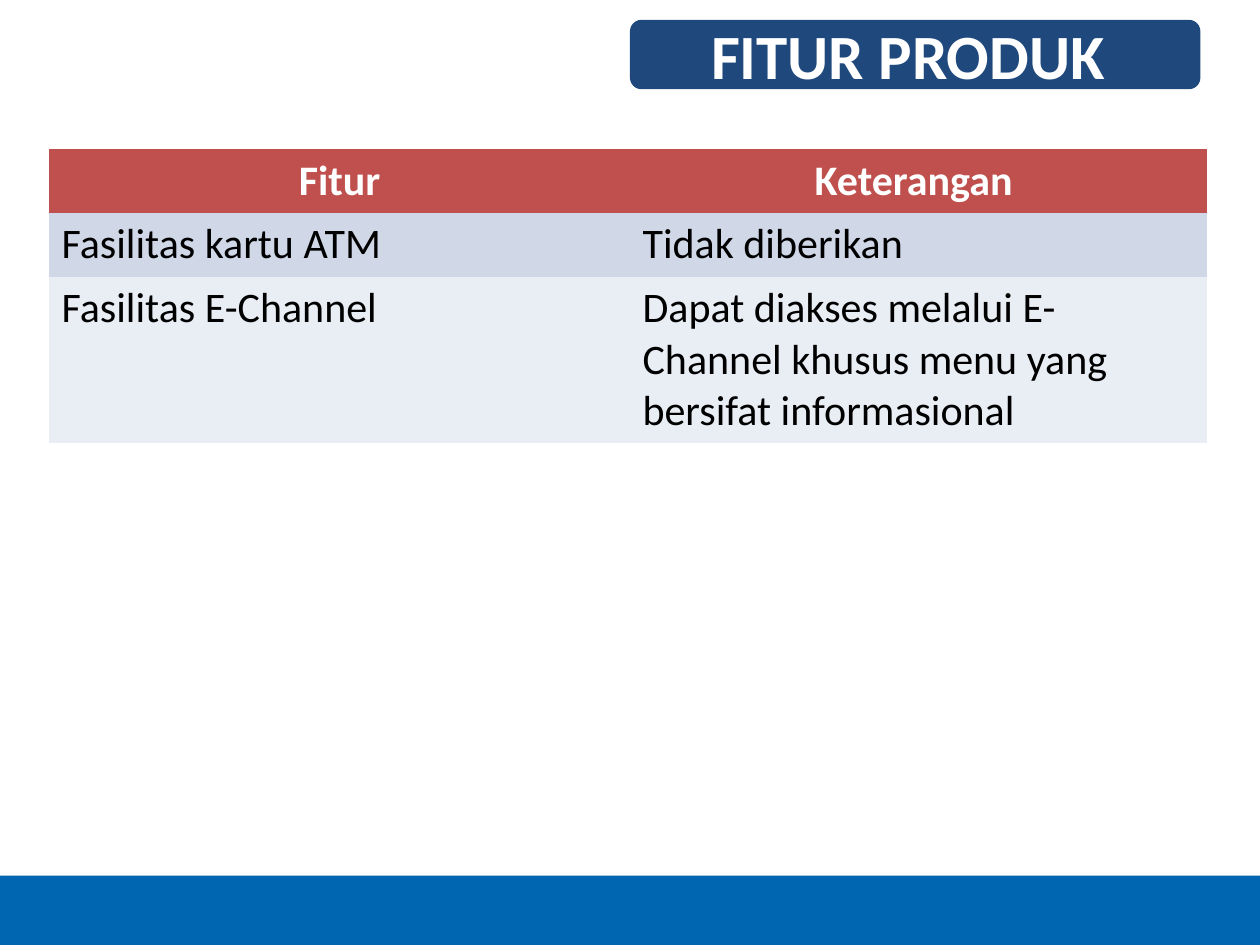
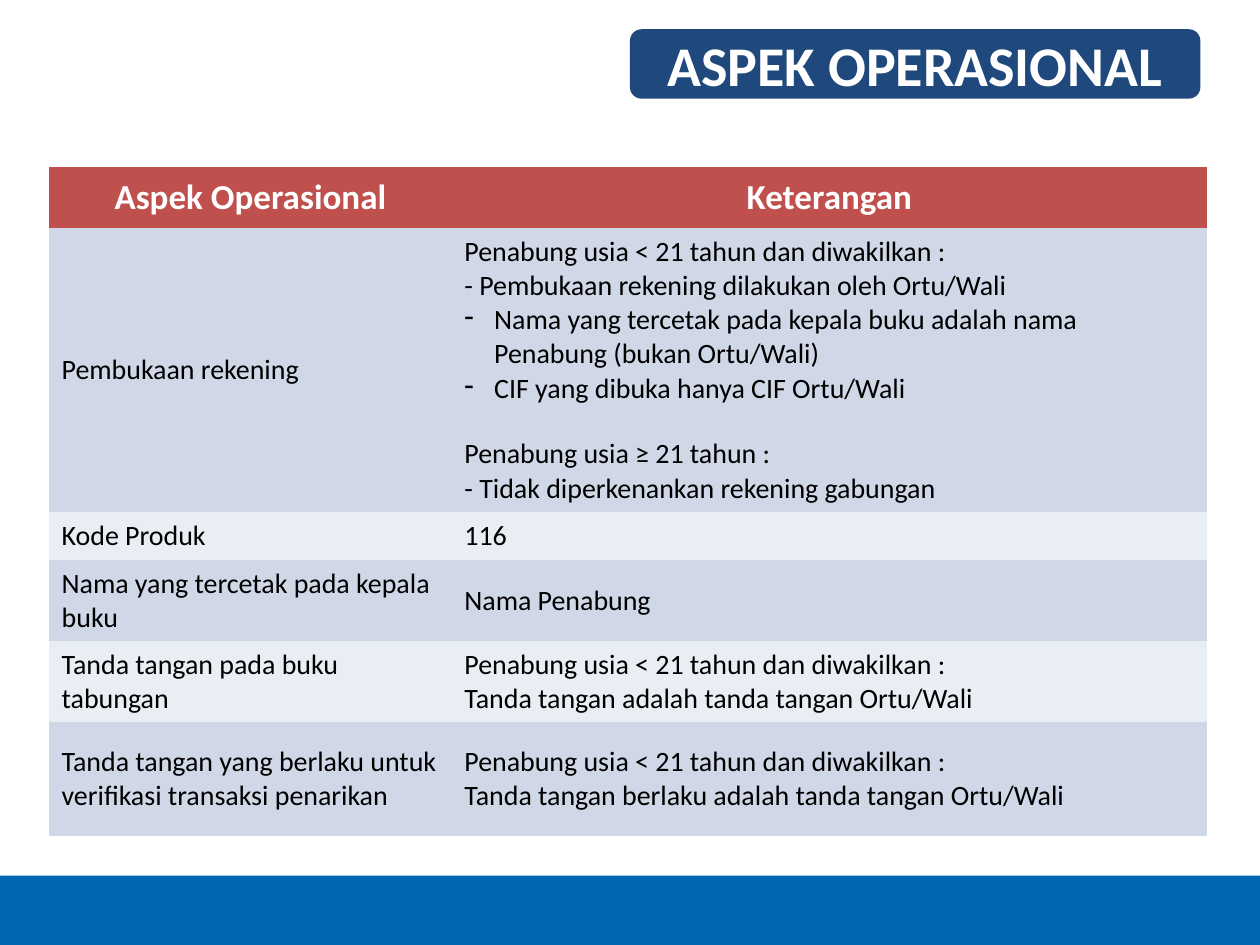
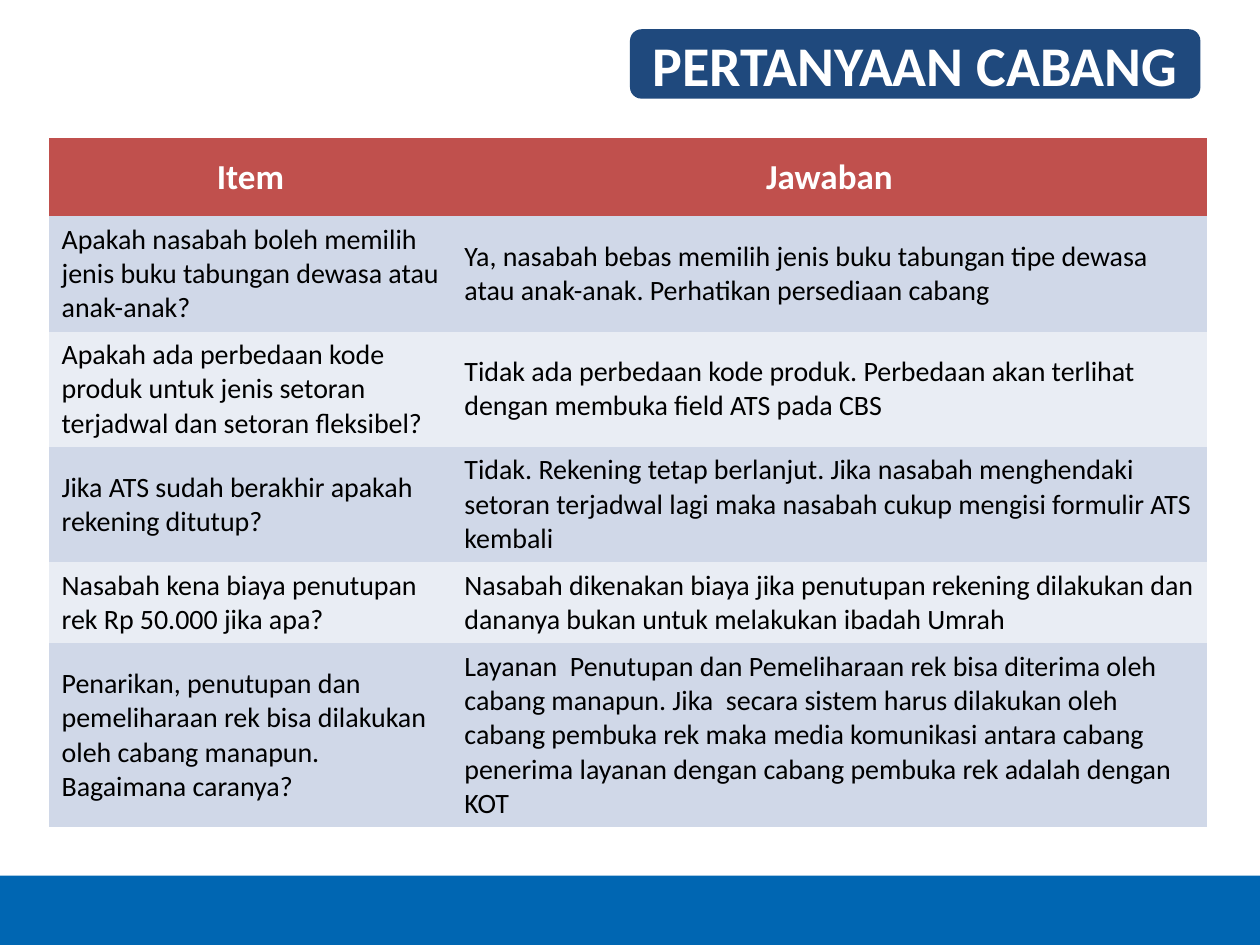
from lxml import etree
from pptx import Presentation
from pptx.dml.color import RGBColor
from pptx.enum import shapes, text
from pptx.oxml import ns
from pptx.util import Cm, Pt

COLORS = {
    "footer": "0066B2",
    "title": "1F497D",
    "header": "C0504D",
    "odd": "D0D8E8",
    "even": "E9EDF4",
    "white": "FFFFFF",
    "black": "000000",
}
FONT = "Calibri"
SLIDE_W, SLIDE_H = 25.4, 19.05
FOOTER_H = 1.4
TABLE_LEFT = 0.99
NO_GRID = "{2D5ABB26-0587-4C30-8999-92F81FD0307C}"
MINOR = "Penabung usia < 21 tahun dan diwakilkan :"


def rgb(name):
    return RGBColor.from_string(COLORS[name])


def put_text(p, words, size=16, color="black", bold=False,
             align=text.PP_ALIGN.LEFT, bullet=False, before=0):
    """Write one formatted paragraph."""
    if bullet:
        pPr = p._p.get_or_add_pPr()
        pPr.set("marL", str(Cm(0.6)))
        pPr.set("indent", str(-Cm(0.6)))
        etree.SubElement(pPr, ns.qn("a:buChar")).set("char", "-")
    if before:
        p.space_before = Pt(before)
    p.alignment = align
    r = p.add_run()
    r.text = words
    r.font.name = FONT
    r.font.size = Pt(size)
    r.font.bold = bold
    r.font.color.rgb = rgb(color)


def add_box(s, kind, box, color):
    """Add a plain filled shape; box is left, top, width, height in cm."""
    sp = s.shapes.add_shape(kind, *map(Cm, box))
    sp.shadow.inherit = False
    sp.fill.solid()
    sp.fill.fore_color.rgb = rgb(color)
    sp.line.fill.background()
    return sp


def add_footer(s):
    box = (0, SLIDE_H - FOOTER_H, SLIDE_W, FOOTER_H)
    add_box(s, shapes.MSO_SHAPE.RECTANGLE, box, "footer")


def add_title(s, words, top, size):
    box = (12.7, top, 11.5, 1.4)
    sp = add_box(s, shapes.MSO_SHAPE.ROUNDED_RECTANGLE, box, "title")
    tf = sp.text_frame
    tf.word_wrap = True
    tf.vertical_anchor = text.MSO_ANCHOR.MIDDLE
    put_text(tf.paragraphs[0], words, size=size, color="white", bold=True,
             align=text.PP_ALIGN.CENTER)


def fill_cell(cell, content, fill, anchor, **fmt):
    """Content is a string, or a list of strings and (string, format) pairs."""
    cell.fill.solid()
    cell.fill.fore_color.rgb = rgb(fill)
    cell.vertical_anchor = anchor
    tf = cell.text_frame
    for i, item in enumerate([content] if isinstance(content, str) else content):
        p = tf.add_paragraph() if i else tf.paragraphs[0]
        words, extra = (item, {}) if isinstance(item, str) else item
        put_text(p, words, **fmt, **extra)


def add_grid(s, top, cols, heights, rows, head_size, body_size, anchor):
    frame = s.shapes.add_table(len(rows), len(cols), Cm(TABLE_LEFT), Cm(top),
                               Cm(sum(cols)), Cm(sum(heights)))
    table = frame.table
    table._tbl.tblPr.find(ns.qn("a:tableStyleId")).text = NO_GRID
    for col, width in zip(table.columns, cols):
        col.width = Cm(width)
    for row, height in zip(table.rows, heights):
        row.height = Cm(height)

    # Header row, then bands of alternating colour
    for i, row in enumerate(rows):
        if i == 0:
            fill = "header"
            fmt = dict(size=head_size, color="white", bold=True,
                       align=text.PP_ALIGN.CENTER)
        else:
            fill = "odd" if i % 2 else "even"
            fmt = dict(size=body_size)
        for j, content in enumerate(row):
            fill_cell(table.cell(i, j), content, fill, anchor, **fmt)


def table_slide(prs, title, rows, heights, top, title_top=0.59, title_size=32,
                cols=(8.12, 15.22), head_size=20, body_size=16,
                anchor=text.MSO_ANCHOR.MIDDLE):
    s = prs.slides.add_slide(prs.slide_layouts[6])
    add_footer(s)
    add_title(s, title, title_top, title_size)
    add_grid(s, top, cols, heights, rows, head_size, body_size, anchor)


FEATURES = [
    ("Fitur", "Keterangan "),
    ("Fasilitas kartu ATM", "Tidak diberikan"),
    ("Fasilitas E-Channel",
     "Dapat diakses melalui E-Channel khusus menu yang bersifat informasional"),
]

OPERATIONS = [
    ("Aspek Operasional", "Keterangan"),
    ("Pembukaan rekening", [
        MINOR,
        "- Pembukaan rekening dilakukan oleh Ortu/Wali",
        ("Nama yang tercetak pada kepala buku adalah nama Penabung "
         "(bukan Ortu/Wali)", {"bullet": True}),
        ("CIF yang dibuka hanya CIF Ortu/Wali", {"bullet": True}),
        ("Penabung usia ≥ 21 tahun :", {"before": 18}),
        "- Tidak diperkenankan rekening gabungan",
    ]),
    ("Kode Produk", "116"),
    ("Nama yang tercetak pada kepala buku", "Nama Penabung"),
    ("Tanda tangan pada buku tabungan",
     [MINOR, "Tanda tangan adalah tanda tangan Ortu/Wali"]),
    ("Tanda tangan yang berlaku untuk verifikasi transaksi penarikan",
     [MINOR, "Tanda tangan berlaku adalah tanda tangan Ortu/Wali"]),
]

QUESTIONS = [
    ("Item", "Jawaban"),
    ("Apakah nasabah boleh memilih jenis buku tabungan dewasa atau anak-anak?",
     "Ya, nasabah bebas memilih jenis buku tabungan tipe dewasa atau "
     "anak-anak. Perhatikan persediaan cabang"),
    ("Apakah ada perbedaan kode produk untuk jenis setoran terjadwal dan "
     "setoran fleksibel?",
     "Tidak ada perbedaan kode produk. Perbedaan akan terlihat dengan "
     "membuka field ATS pada CBS"),
    ("Jika ATS sudah berakhir apakah rekening ditutup?",
     "Tidak. Rekening tetap berlanjut. Jika nasabah menghendaki setoran "
     "terjadwal lagi maka nasabah cukup mengisi formulir ATS kembali"),
    ("Nasabah kena biaya penutupan rek Rp 50.000 jika apa?",
     "Nasabah dikenakan biaya jika penutupan rekening dilakukan dan dananya "
     "bukan untuk melakukan ibadah Umrah"),
    ("Penarikan, penutupan dan pemeliharaan rek bisa dilakukan oleh cabang "
     "manapun. Bagaimana caranya?",
     "Layanan  Penutupan dan Pemeliharaan rek bisa diterima oleh cabang "
     "manapun. Jika  secara sistem harus dilakukan oleh cabang pembuka rek "
     "maka media komunikasi antara cabang penerima layanan dengan cabang "
     "pembuka rek adalah dengan KOT"),
]


def main():
    prs = Presentation()
    prs.slide_width, prs.slide_height = Cm(SLIDE_W), Cm(SLIDE_H)
    table_slide(prs, "FITUR PRODUK ", FEATURES, (1.28, 1.28, 3.3), top=3,
                title_top=0.4, title_size=36, cols=(11.71, 11.63),
                head_size=24, body_size=24, anchor=text.MSO_ANCHOR.TOP)
    table_slide(prs, "ASPEK OPERASIONAL", OPERATIONS,
                (1.23, 5.67, 0.97, 1.62, 1.62, 2.29), top=3.37)
    table_slide(prs, "PERTANYAAN CABANG", QUESTIONS,
                (1.58, 2.29, 2.29, 2.29, 1.62, 3.66), top=2.78)
    prs.save("out.pptx")


if __name__ == "__main__":
    main()
